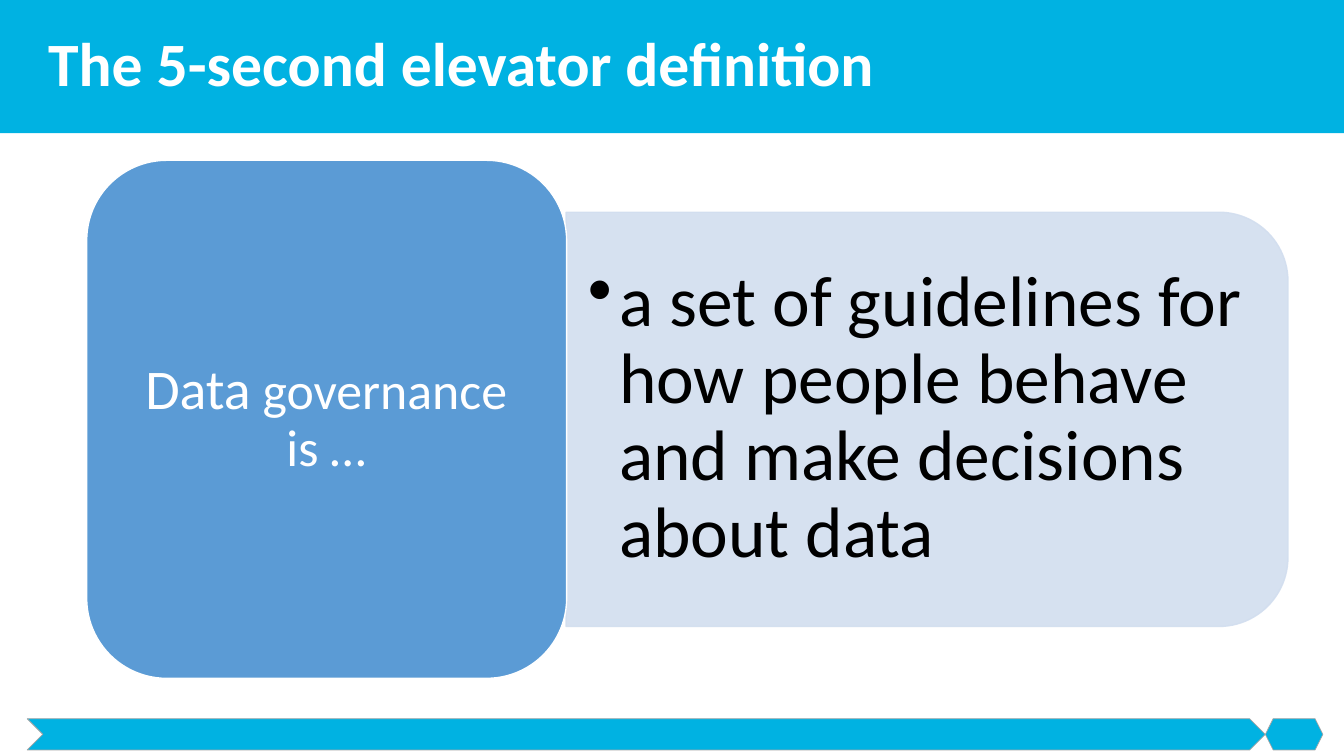
import pptx
import pptx.util
import pptx.dml.color
import pptx.enum.shapes
import pptx.enum.text
import pptx.oxml.ns
import lxml.etree

Inches, Pt = pptx.util.Inches, pptx.util.Pt
MSO = pptx.enum.shapes.MSO_SHAPE
ALIGN = pptx.enum.text.PP_ALIGN

WIDTH, HEIGHT = Inches(13.33), Inches(7.5)
COLORS = {
    "band": "00B2E2",
    "edge": "A5A5A5",
    "panel": "D2DEEF",
    "card": "5B9BD5",
    "white": "FFFFFF",
    "black": "000000",
}


def rgb(name):
    return pptx.dml.color.RGBColor.from_string(COLORS[name])


def place(left, top, width, height):
    """Turn percentages of the slide into a box in EMU."""
    return (int(WIDTH * left / 100), int(HEIGHT * top / 100),
            int(WIDTH * width / 100), int(HEIGHT * height / 100))


def add_block(s, kind, box, fill, line=None, line_width=1, quarter_turn=False, opacity=None):
    x, y, w, h = place(*box)
    if quarter_turn:  # the frame is given as it looks after turning
        x, y, w, h = x + (w - h) // 2, y + (h - w) // 2, h, w
    sp = s.shapes.add_shape(kind, x, y, w, h)
    sp.shadow.inherit = False
    sp.rotation = 90 if quarter_turn else 0
    sp.fill.solid()
    sp.fill.fore_color.rgb = rgb(fill)
    if line:
        sp.line.color.rgb = rgb(line)
        sp.line.width = Pt(line_width)
    else:
        sp.line.fill.background()
    if opacity:
        for color in sp._element.spPr.iter(pptx.oxml.ns.qn("a:srgbClr")):
            lxml.etree.SubElement(color, pptx.oxml.ns.qn("a:alpha"), val=str(opacity * 1000))
    return sp


def add_bullet(p, indent):
    pPr = p._p.get_or_add_pPr()
    pPr.set("marL", str(Inches(indent)))
    pPr.set("indent", str(-Inches(indent)))
    lxml.etree.SubElement(pPr, pptx.oxml.ns.qn("a:buChar"), char="•")


def add_text(s, box, runs, color, margins=(0.1, 0.05), align=ALIGN.LEFT, bold=False, bullet=None):
    tf = s.shapes.add_textbox(*place(*box)).text_frame
    side, end = (Inches(m) for m in margins)
    frame = {"word_wrap": True, "vertical_anchor": pptx.enum.text.MSO_ANCHOR.MIDDLE,
             "margin_left": side, "margin_right": side,
             "margin_top": end, "margin_bottom": end}
    for name, value in frame.items():
        setattr(tf, name, value)
    p = tf.paragraphs[0]
    if bullet:
        add_bullet(p, bullet)
    p.alignment = align
    p.line_spacing = 0.9
    for text, size in runs:
        r = p.add_run()
        r.text = text
        for name, value in {"name": "Calibri", "size": Pt(size), "bold": bold}.items():
            setattr(r.font, name, value)
        r.font.color.rgb = rgb(color)


def main():
    prs = pptx.Presentation()
    prs.slide_width, prs.slide_height = WIDTH, HEIGHT
    s = prs.slides.add_slide(prs.slide_layouts[6])

    # Header band and footer arrow
    add_block(s, MSO.RECTANGLE, (0, 0, 100, 17.6), "band")
    add_block(s, MSO.CHEVRON, (2.03, 95.07, 92.12, 4.13), "band", "edge", 0.5)
    add_block(s, MSO.HEXAGON, (94.15, 95.07, 4.28, 4.13), "band", "edge", 0.5)
    add_text(s, (2.85, 0, 95.57, 17.6), [("The 5-second elevator definition", 44)],
             "white", bold=True)

    # Definition panel
    add_block(s, MSO.ROUND_2_SAME_RECTANGLE, (42.12, 28.07, 53.71, 54.8),
              "panel", "panel", quarter_turn=True, opacity=90)
    add_text(s, (42.16, 30.67, 52.21, 49.47),
             [("a set of guidelines for how people behave and make decisions about data", 51)],
             "black", margins=(0.21, 0.11), bullet=0.31)

    # Term card
    add_block(s, MSO.ROUNDED_RECTANGLE, (6.45, 21.2, 35.71, 68.53), "card", "white")
    add_text(s, (8.18, 24.27, 32.18, 62.4), [("Data", 40), (" governance is …", 37)],
             "white", margins=(0.17, 0.08), align=ALIGN.CENTER)

    prs.save("out.pptx")


if __name__ == "__main__":
    main()
